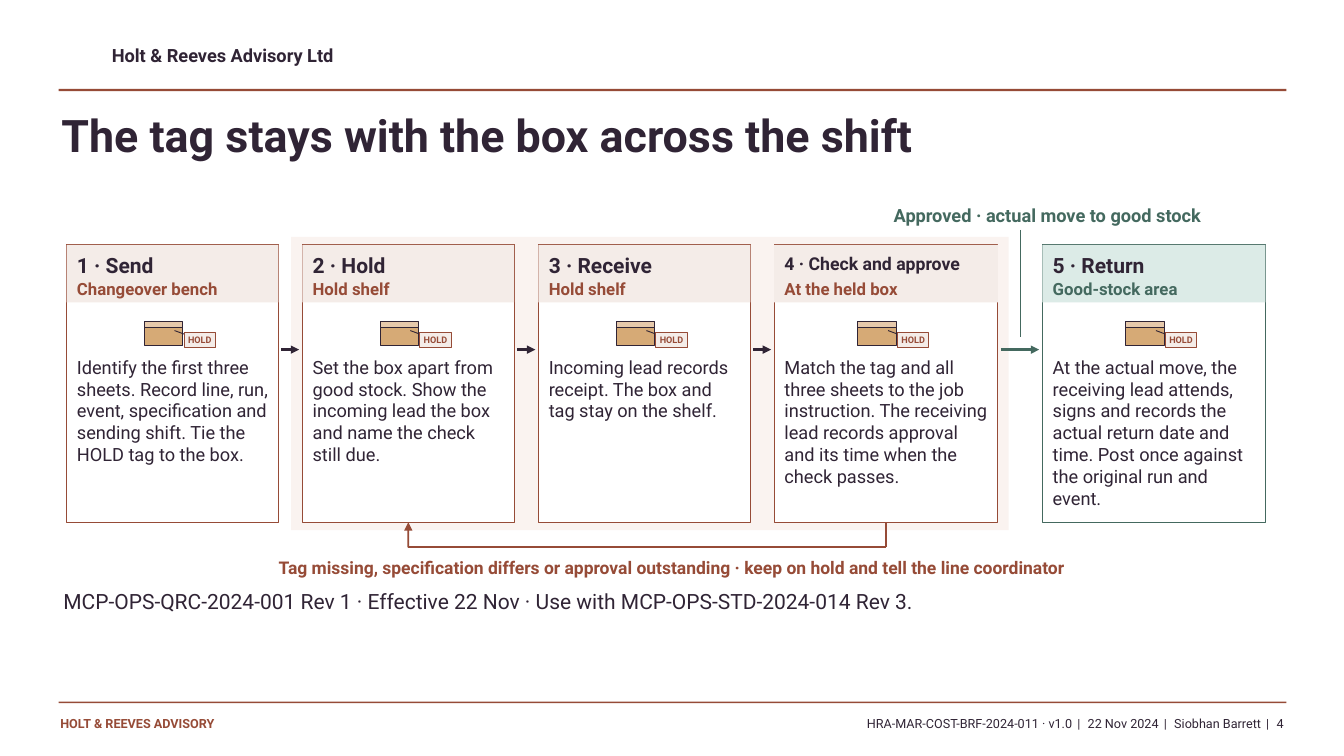
from lxml import etree
from pptx import Presentation
from pptx.dml.color import RGBColor
from pptx.enum.shapes import MSO_CONNECTOR, MSO_SHAPE
from pptx.enum.text import MSO_ANCHOR, PP_ALIGN
from pptx.oxml.ns import qn
from pptx.util import Cm, Pt

RECT = MSO_SHAPE.RECTANGLE
STRAIGHT = MSO_CONNECTOR.STRAIGHT
LEFT, CENTER, RIGHT = PP_ALIGN.LEFT, PP_ALIGN.CENTER, PP_ALIGN.RIGHT
TOP, MIDDLE = MSO_ANCHOR.TOP, MSO_ANCHOR.MIDDLE

INK = "302435"
RUST = "964B37"
GREEN = "44695F"
BLUSH = "F4ECE8"
MINT = "DCEBE7"
WHITE = "FFFFFF"
color = RGBColor.from_string

deck = Presentation()
deck.slide_width, deck.slide_height = Cm(33.87), Cm(19.05)
page = deck.slides.add_slide(deck.slide_layouts[6])


def add_box(left, top, width, height, fill=None, outline=None, text=None,
            size=13, ink=INK, bold=False, align=LEFT):
    place = Cm(left), Cm(top), Cm(width), Cm(height)
    if fill:
        box = page.shapes.add_shape(RECT, *place)
        box.shadow.inherit = False
        box.fill.solid()
        box.fill.fore_color.rgb = color(fill)
        if outline:
            box.line.color.rgb = color(outline)
            box.line.width = Pt(0.8)
        else:
            box.line.fill.background()
    else:
        box = page.shapes.add_textbox(*place)
    if text:
        frame = box.text_frame
        frame.margin_left = frame.margin_right = Cm(0)
        frame.margin_top = frame.margin_bottom = Cm(0)
        frame.word_wrap = True
        frame.vertical_anchor = MIDDLE if fill else TOP
        frame.text = text
        para = frame.paragraphs[0]
        para.alignment = align
        for span in para.runs:
            span.font.name = "Roboto"
            span.font.size = Pt(size)
            span.font.bold = bold
            span.font.color.rgb = color(ink)
    return box


def add_line(x1, y1, x2, y2, ink, width, arrow=False):
    line = page.shapes.add_connector(STRAIGHT, Cm(x1), Cm(y1), Cm(x2), Cm(y2))
    line.line.color.rgb = color(ink)
    line.line.width = Pt(width)
    properties = line._element.spPr
    if arrow:
        etree.SubElement(properties.find(qn("a:ln")), qn("a:tailEnd"), type="triangle")
    etree.SubElement(properties, qn("a:effectLst"))
    return line


add_box(2.82, 1.12, 15.24, 0.69, text="Holt & Reeves Advisory Ltd", bold=True)
add_box(1.48, 2.24, 30.94, 0.06, RUST)
add_box(1.48, 17.68, 30.94, 0.04, RUST)
add_box(1.52, 18.03, 8.64, 0.64, text="HOLT & REEVES ADVISORY", size=9, ink=RUST, bold=True)
add_box(1.55, 2.72, 30.48, 1.98, text="The tag stays with the box across the shift",
        size=32, bold=True)
add_box(1.6, 14.83, 30.33, 2.03, size=15,
        text="MCP-OPS-QRC-2024-001 Rev 1 · Effective 22 Nov · Use with MCP-OPS-STD-2024-014 Rev 3.")
add_box(7.34, 5.97, 18.08, 7.39, "FAF3F0")

CARD_TOP, CARD_HEIGHT = 6.17, 6.99
CARD_BOTTOM = CARD_TOP + CARD_HEIGHT
PADDING = 0.26
steps = [
    (1.68, 5.34, "1 · Send", 15, "Changeover bench", RUST, BLUSH,
     "Identify the first three sheets. Record line, run, event, specification "
     "and sending shift. Tie the HOLD tag to the box."),
    (7.62, 5.34, "2 · Hold", 15, "Hold shelf", RUST, BLUSH,
     "Set the box apart from good stock. Show the incoming lead the box "
     "and name the check still due."),
    (13.57, 5.34, "3 · Receive", 15, "Hold shelf", RUST, BLUSH,
     "Incoming lead records receipt. The box and tag stay on the shelf."),
    (19.51, 5.64, "4 · Check and approve", 12.6, "At the held box", RUST, BLUSH,
     "Match the tag and all three sheets to the job instruction. The receiving "
     "lead records approval and its time when the check passes."),
    (26.27, 5.62, "5 · Return", 15, "Good-stock area", GREEN, MINT,
     "At the actual move, the receiving lead attends, signs and records the actual "
     "return date and time. Post once against the original run and event."),
]

cards = []
for left, width, heading, size, location, accent, tint, action in steps:
    cards.append(add_box(left, CARD_TOP, width, CARD_HEIGHT, WHITE, accent))
    add_box(left, CARD_TOP, width, 1.45, tint)
    text_left, text_width = left + PADDING, width - 2 * PADDING
    add_box(text_left, 6.37, text_width, 0.58, text=heading, size=size, bold=True)
    add_box(text_left, 7.02, text_width, 0.56, text=location, size=12, ink=accent, bold=True)
    carton = left + width / 2 - 0.71
    add_box(carton, 8.16, 0.97, 0.54, "D6AA76", INK)
    add_box(carton, 8.1, 0.97, 0.15, "E6C9AB", INK)
    add_line(carton + 0.76, 8.33, carton + 1.17, 8.48, INK, 0.65)
    add_box(carton + 1, 8.38, 0.79, 0.38, BLUSH, RUST, "HOLD", 6.5, RUST, True, CENTER)
    add_box(text_left, 8.97, text_width, 4.04, text=action)

for step, following in zip(steps, steps[1:]):
    ink = GREEN if following[5] == GREEN else INK
    add_line(step[0] + step[1] + 0.07, 8.81, following[0] - 0.08, 8.81, ink, 1.85, True)

add_box(21.13, 5.15, 10.52, 0.61, text="Approved · actual move to good stock",
        ink=GREEN, bold=True, align=CENTER)
add_line(25.71, 5.79, 25.71, 8.48, GREEN, 0.8)

hold_x, check_x = [steps[i][0] + steps[i][1] / 2 for i in (1, 3)]
LOOP_Y = 13.79
leave_check = add_line(check_x, CARD_BOTTOM, check_x, LOOP_Y, RUST, 1.25)
leave_check.begin_connect(cards[3], 2)
add_line(check_x, LOOP_Y, hold_x, LOOP_Y, RUST, 1.25)
back_to_hold = add_line(hold_x, LOOP_Y, hold_x, CARD_BOTTOM, RUST, 1.25, True)
back_to_hold.end_connect(cards[1], 2)
add_box(4.11, 14.03, 25.63, 0.64, size=12.5, ink=RUST, bold=True, align=CENTER,
        text="Tag missing, specification differs or approval outstanding · "
             "keep on hold and tell the line coordinator")

footer = add_box(10.46, 18.03, 21.89, 0.58, text="HRA-MAR-COST-BRF-2024-011 · v1.0",
                 size=9, align=RIGHT)
para = footer.text_frame.paragraphs[0]
for detail in ("22 Nov 2024", "Siobhan Barrett", "4"):
    for text, spacing in ((" | ", "150"), (detail, "0")):
        span = para.add_run()
        span.text = text
        span.font.name = "Roboto"
        span.font.size = Pt(9)
        span.font.color.rgb = color(INK)
        span._r.get_or_add_rPr().set("spc", spacing)

deck.save("out.pptx")
